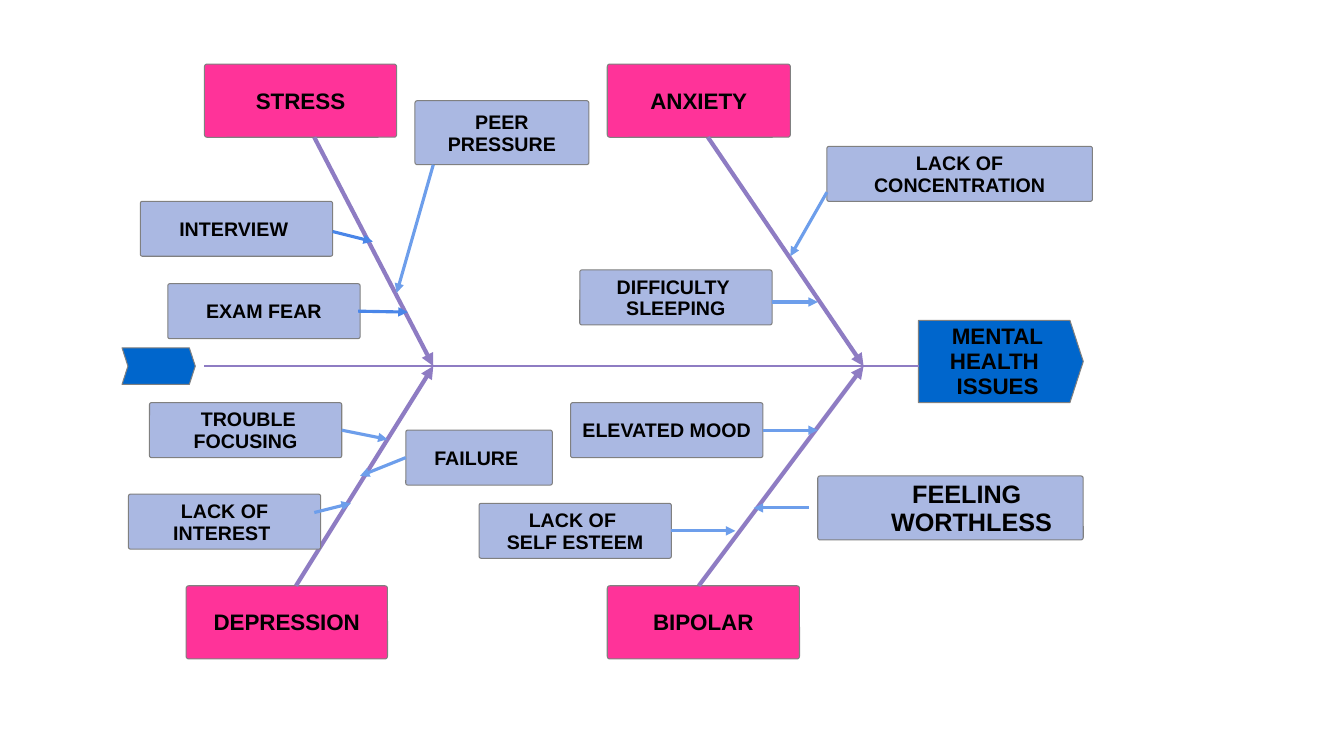
from lxml.etree import SubElement as Sub
from pptx import Presentation
from pptx.dml.color import RGBColor as RGB
from pptx.enum.shapes import MSO_CONNECTOR as Link, MSO_SHAPE as Form
from pptx.enum.text import MSO_ANCHOR as Anchor, PP_ALIGN as Align
from pptx.oxml.ns import qn
from pptx.util import Inches, Pt

PINK, NAVY, PALE = RGB(255, 51, 153), RGB(0, 102, 204), RGB(170, 184, 226)
GREY, BLACK = RGB(128, 128, 128), RGB(0, 0, 0)
PLUM, SKY, AZURE = RGB(142, 124, 195), RGB(109, 158, 235), RGB(74, 134, 232)

# Boxes: text, column, row, columns wide, rows high
HEAD = ("MENTAL\nHEALTH \nISSUES", 100, 35, 18, 9)
TAIL = ("", 13, 38, 8, 4)
CAUSES = [
    ("ANXIETY", 66, 7, 20, 8),
    ("STRESS", 22, 7, 21, 8),
    ("DEPRESSION", 20, 64, 22, 8),
    ("BIPOLAR", 66, 64, 21, 8),
]
SIGNS = [
    ("LACK OF CONCENTRATION", 90, 16, 29, 6),
    ("DIFFICULTY \nSLEEPING", 63, 29.5, 21, 6),
    ("INTERVIEW ", 15, 22, 21, 6),
    ("EXAM FEAR", 18, 31, 21, 6),
    ("ELEVATED MOOD", 62, 44, 21, 6),
    ("LACK OF \nSELF ESTEEM", 52, 55, 21, 6),
    (" TROUBLE FOCUSING", 16, 44, 21, 6),
    ("LACK OF INTEREST ", 13.7, 54, 21, 6),
    ("FAILURE ", 44, 47, 16, 6),
    ("PEER PRESSURE", 45, 11, 19, 7),
]
WORTH = ("FEELING\nWORTHLESS", 89, 52, 29, 7)
INDENTS = (0.84, 0.63)

# Lines: column and row of the start, then of the end
SPINE = (100, 40, 22, 40)
RIBS = [(77, 15, 94, 40), (76, 64, 94, 40), (34, 15, 47, 40), (32, 64, 47, 40)]
TWIGS = [
    (84, 33, 89, 33), (90, 21, 86, 28), (37, 47, 42, 48), (83, 47, 89, 47),
    (73, 58, 80, 58), (34, 56, 38, 55), (44, 50, 39, 52), (47, 18, 43, 32),
    (88, 55.5, 82, 55.5),
]
STEMS = [(36, 25.3, 40.4, 26.4), (38.8, 34, 44.2, 34.1)]

WIDE, HIGH = 13.33, 7.5
CELL = HIGH / 82.6
EDGE = 0.03
FRAME = dict(
    margin_left=Inches(0.09), margin_right=Inches(0.09),
    margin_top=Inches(0.06), margin_bottom=Inches(0.04),
    word_wrap=True, vertical_anchor=Anchor.MIDDLE,
)


def col(num):
    return Inches(EDGE + num * CELL)


def row(num):
    return Inches(num * CELL)


def style(item, **vals):
    for name, val in vals.items():
        setattr(item, name, val)


def box(spec, fill, size, form=Form.ROUNDED_RECTANGLE, bend=0.036, indents=()):
    text, left, top, wide, high = spec
    shape = slide.shapes.add_shape(form, col(left), row(top), row(wide), row(high))
    shape.adjustments[0] = bend
    shape.shadow.inherit = False
    shape.fill.solid()
    shape.fill.fore_color.rgb = fill
    shape.line.color.rgb = GREY
    shape.line.width = Pt(0.75)
    frame = shape.text_frame
    style(frame, **FRAME)
    if not text:
        return
    frame.text = text
    for par in frame.paragraphs:
        style(par, alignment=Align.CENTER, line_spacing=0.93)
        style(par.runs[0].font, name="Arial", size=Pt(size), bold=True)
        par.runs[0].font.color.rgb = BLACK
    for par, gap in zip(frame.paragraphs, indents):
        par.alignment = Align.LEFT
        par._p.get_or_add_pPr().set("marL", str(Inches(gap)))


def link(ends, tint, width, arrow=True):
    left, top, right, low = ends
    line = slide.shapes.add_connector(
        Link.STRAIGHT, col(left), row(top), col(right), row(low))
    line.line.color.rgb = tint
    line.line.width = Pt(width)
    if arrow:
        Sub(line.line._get_or_add_ln(), qn("a:tailEnd"), type="triangle")
    Sub(line._element.spPr, qn("a:effectLst"))


deck = Presentation()
style(deck, slide_width=Inches(WIDE), slide_height=Inches(HIGH))
slide = deck.slides.add_slide(deck.slide_layouts[6])

box(HEAD, NAVY, 16, Form.PENTAGON, 0.162)
link(SPINE, PLUM, 1.5, arrow=False)
for cause in CAUSES:
    box(cause, PINK, 16)
for rib in RIBS:
    link(rib, PLUM, 3)
for sign in SIGNS:
    box(sign, PALE, 14)
box(TAIL, NAVY, 14, Form.CHEVRON, 0.162)
for twig in TWIGS:
    link(twig, SKY, 2.25)
for stem in STEMS:
    link(stem, AZURE, 2.25)
box(WORTH, PALE, 18, indents=INDENTS)

deck.save("out.pptx")
